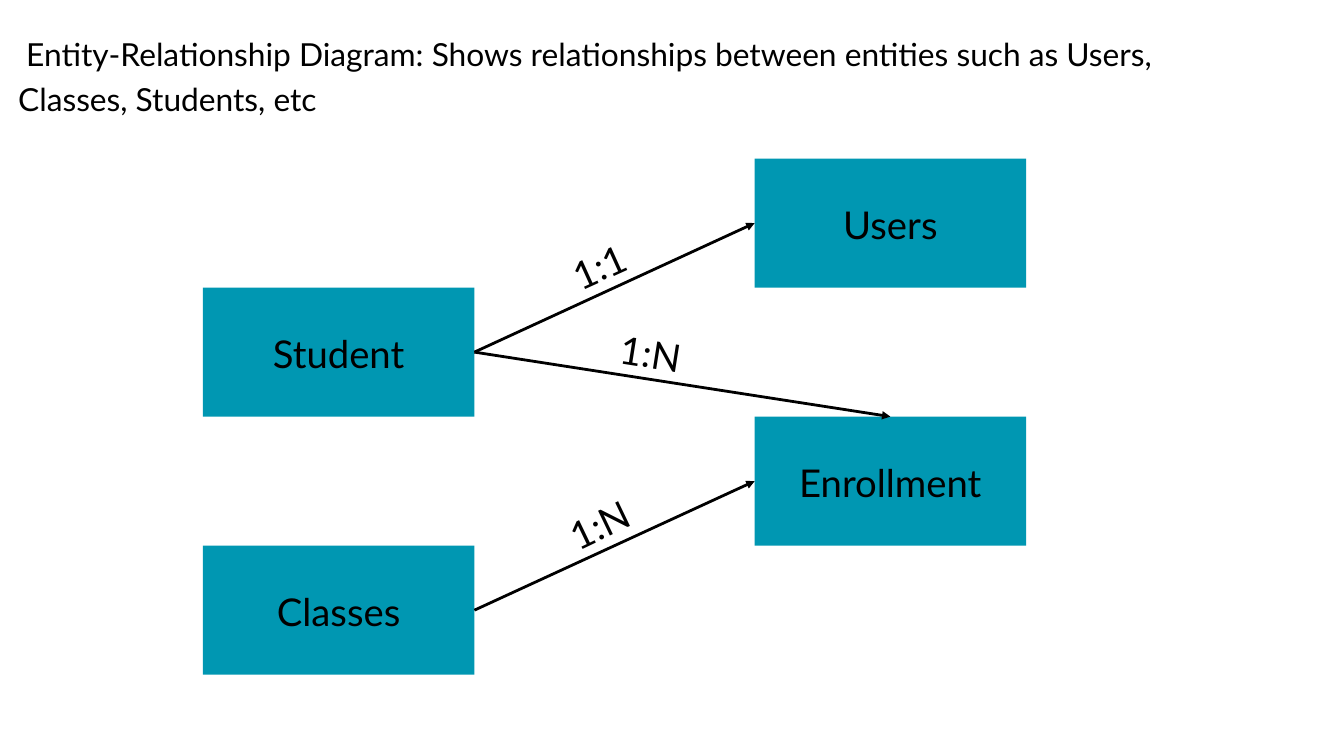
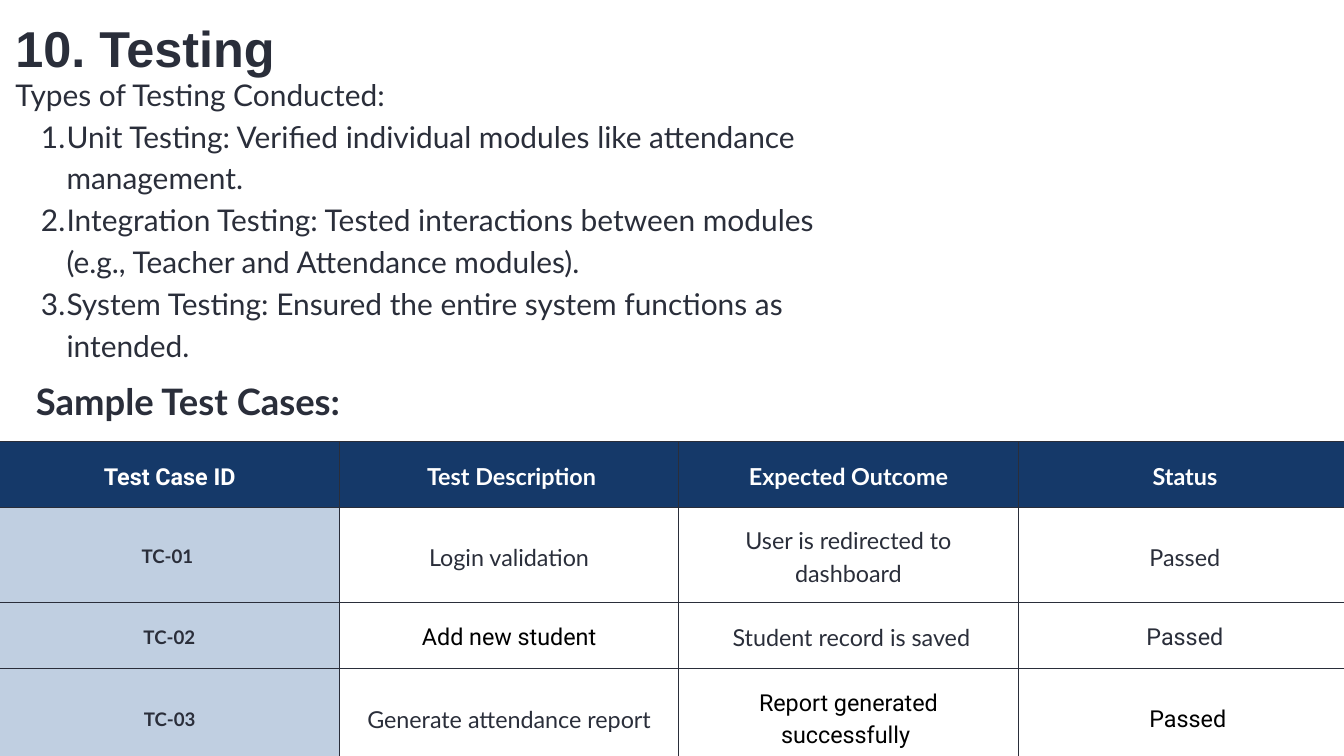
"""Builds two slides: an entity-relationship diagram and a testing summary."""
from lxml import etree
from pptx import Presentation, util as u
from pptx.dml.color import RGBColor
from pptx.enum import shapes, text
from pptx.oxml import ns

COLORS = {"black": "000000", "ink": "2A2E3A", "white": "FFFFFF",
          "entity": "0097B2", "header": "153969", "id": "C0CFE1"}
LEFT, CENTER = text.PP_ALIGN.LEFT, text.PP_ALIGN.CENTER
TOP_SITE, LEFT_SITE, RIGHT_SITE = 0, 1, 3
ROBOTO_CELLS = {(0, 0), (2, 1), (2, 3), (3, 2), (3, 3)}
BLACK_CELLS = {(2, 1), (3, 2), (3, 3)}


def rgb(name):
    return RGBColor.from_string(COLORS[name])


def box(*lengths):
    return [u.Inches(v) for v in lengths]


class Deck:
    """Holds the shared style and the current slide."""

    label_size = 41
    label_height = 0.77
    cell_margin = 0.21
    border_pt = 0.75

    def __init__(self, width, height):
        self.prs = Presentation()
        self.prs.slide_width, self.prs.slide_height = box(width, height)
        self.s = None

    def slide(self):
        self.s = self.prs.slides.add_slide(self.prs.slide_layouts[6])

    def style(self, p, size, color="ink", font="Lato", bold=False, align=LEFT, spacing=1.4):
        p.alignment = align
        p.line_spacing = u.Pt(round(size * spacing, 1))
        for r in p.runs:
            r.font.size, r.font.name, r.font.bold = u.Pt(size), font, bold
            r.font.color.rgb = rgb(color)

    def text(self, content, at, size, rotation=0, **style):
        sp = self.s.shapes.add_textbox(*box(*at))
        sp.rotation = rotation
        tf = sp.text_frame
        tf.margin_left = tf.margin_right = tf.margin_top = tf.margin_bottom = 0
        tf.word_wrap = True
        tf.auto_size = text.MSO_AUTO_SIZE.SHAPE_TO_FIT_TEXT
        tf.text = content
        for p in tf.paragraphs:
            self.style(p, size, **style)
        return tf

    def label(self, content, left, top, width, rotation=0):
        self.text(content, (left, top, width, self.label_height), self.label_size,
                  rotation, color="black", align=CENTER)

    def number(self, p):
        p.level = 1
        pPr = p._p.get_or_add_pPr()
        pPr.set("marL", str(u.Inches(0.76)))
        pPr.set("indent", str(u.Inches(-0.38)))
        etree.SubElement(pPr, ns.qn("a:buAutoNum"), type="arabicPeriod")

    def rectangle(self, at, color):
        sp = self.s.shapes.add_shape(shapes.MSO_SHAPE.RECTANGLE, *box(*at))
        sp.shadow.inherit = False
        sp.fill.solid()
        sp.fill.fore_color.rgb = rgb(color)
        sp.line.fill.background()
        return sp

    def arrow(self, start, start_site, end, end_site):
        c = self.s.shapes.add_connector(shapes.MSO_CONNECTOR.STRAIGHT, 0, 0, 0, 0)
        c.begin_connect(start, start_site)
        c.end_connect(end, end_site)
        c.line.color.rgb = rgb("black")
        c.line.width = u.Pt(3)
        etree.SubElement(c.line._get_or_add_ln(), ns.qn("a:tailEnd"), type="triangle")
        etree.SubElement(c._element.spPr, ns.qn("a:effectLst"))

    def borders(self, cell, hidden):
        tcPr = cell._tc.get_or_add_tcPr()
        for i, side in enumerate("LRTB"):
            width = 0 if side in hidden else u.Pt(self.border_pt)
            ln = etree.Element(ns.qn("a:ln" + side), w=str(width))
            solid = etree.SubElement(ln, ns.qn("a:solidFill"))
            etree.SubElement(solid, ns.qn("a:srgbClr"), val=COLORS["ink"])
            tcPr.insert(i, ln)

    def cell(self, cell, content, fill, hidden, **style):
        cell.text = content
        cell.vertical_anchor = text.MSO_ANCHOR.MIDDLE
        cell.margin_left = cell.margin_right = u.Inches(self.cell_margin)
        cell.margin_top = cell.margin_bottom = u.Inches(self.cell_margin)
        if fill:
            cell.fill.solid()
            cell.fill.fore_color.rgb = rgb(fill)
        else:
            cell.fill.background()
        self.borders(cell, hidden)
        self.style(cell.text_frame.paragraphs[0], align=CENTER, **style)

    def table(self, rows, left, top, col_width, heights):
        n = len(rows[0])
        t = self.s.shapes.add_table(
            len(rows), n, *box(left, top, col_width * n, sum(heights))).table
        t.first_row = t.horz_banding = False
        for col in t.columns:
            col.width = u.Inches(col_width)
        for i, (row, height) in enumerate(zip(rows, heights)):
            t.rows[i].height = u.Inches(height)
            for j, content in enumerate(row):
                head, is_id = i == 0, i > 0 and j == 0
                color = "white" if head else "black" if (i, j) in BLACK_CELLS else "ink"
                self.cell(t.cell(i, j), content,
                          fill="header" if head else "id" if is_id else None,
                          hidden={0: "L", n - 1: "R"}.get(j, ""),
                          size=20 if is_id else 25, color=color, bold=head or is_id,
                          font="Roboto" if (i, j) in ROBOTO_CELLS else "Lato")


def entity_slide(d):
    d.slide()
    d.text(" Entity-Relationship Diagram: Shows relationships between entities such as Users, "
           "Classes, Students, etc", (0.27, 0.43, 17.61, 1.3), 34, color="black")
    width, height, first_top = 4.04, 1.92, 2.36
    entities = [("Classes", 3.02, 3, 2.04), ("Enrollment", 11.23, 2, 2.73),
                ("Student", 3.02, 1, 1.97), ("Users", 11.23, 0, 1.49)]
    nodes = {name: d.rectangle((left, first_top + row * height, width, height), "entity")
             for name, left, row, _ in entities}
    for start, end, site in [("Student", "Users", LEFT_SITE),
                             ("Student", "Enrollment", TOP_SITE),
                             ("Classes", "Enrollment", LEFT_SITE)]:
        d.arrow(nodes[start], RIGHT_SITE, nodes[end], site)
    for name, left, row, label_width in entities:
        d.label(name, left + (width - label_width) / 2, first_top + row * height + 0.52,
                label_width)
    for ratio, left, top, rotation in [("1:1", 8.14, 3.51, 335.6), ("1:N", 8.95, 4.8, 9),
                                       ("1:N", 8.14, 7.35, 334.3)]:
        d.label(ratio, left, top, 1.49, rotation)


def testing_slide(d):
    d.slide()
    d.text("10. Testing", (0.23, 0.18, 14.27, 0.97), 54, font="Arial", bold=True, spacing=1.3)
    tf = d.text("\n".join([
        "Types of Testing Conducted:",
        "Unit Testing: Verified individual modules like attendance management.",
        "Integration Testing: Tested interactions between modules "
        "(e.g., Teacher and Attendance modules).",
        "System Testing: Ensured the entire system functions as intended.",
    ]), (0.23, 1.05, 12.88, 4.29), 32)
    for p in tf.paragraphs[1:]:
        d.number(p)
    d.table([
        ["Test Case ID", " Test Description", " Expected Outcome ", "Status "],
        ["TC-01 ", "Login validation", "User is redirected to dashboard", "Passed "],
        [" TC-02 ", " Add new student ", " Student record is saved", "Passed "],
        ["TC-03", "Generate attendance report", "Report generated successfully ", "Passed"],
    ], 0, 6.57, 5.05, [0.98, 1.41, 0.98, 1.46])
    d.text("Sample Test Cases: ", (0, 5.54, 5.73, 0.74), 39, bold=True, align=CENTER)


def main():
    d = Deck(20, 11.25)
    entity_slide(d)
    testing_slide(d)
    d.prs.save("out.pptx")


if __name__ == "__main__":
    main()
